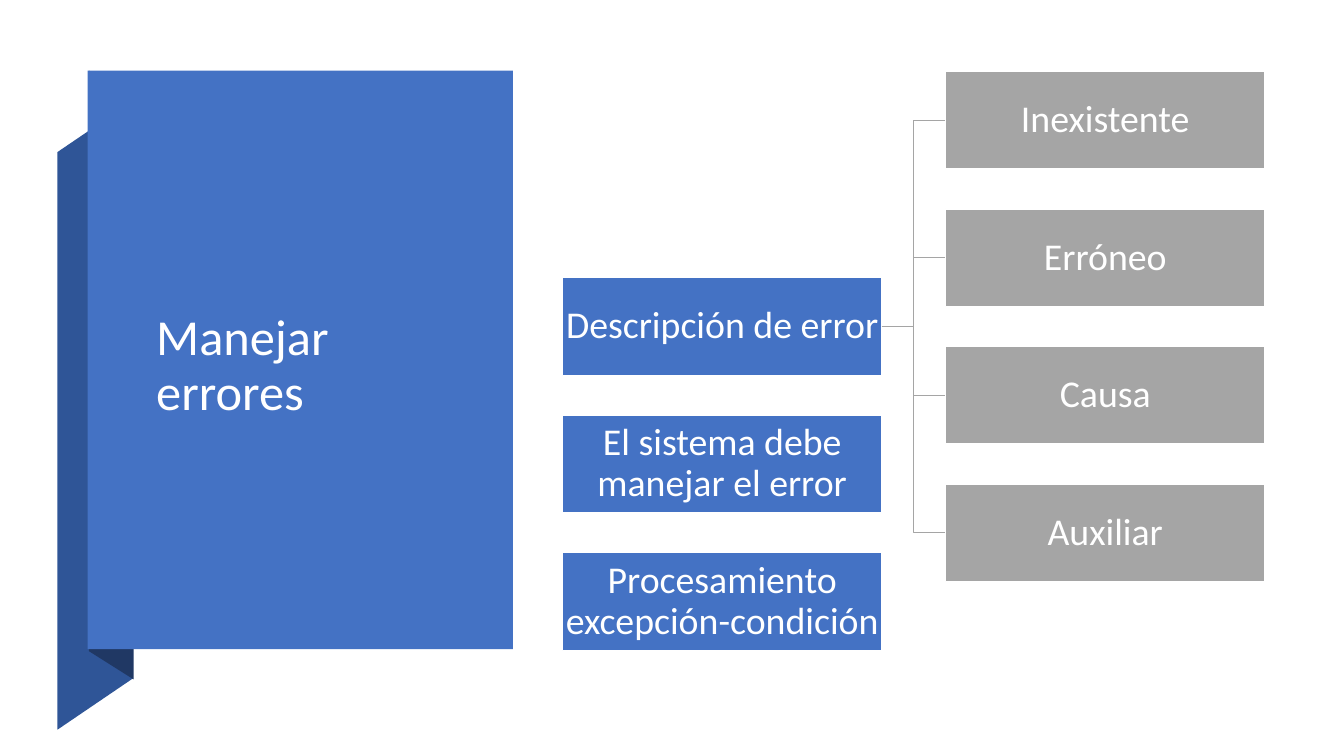
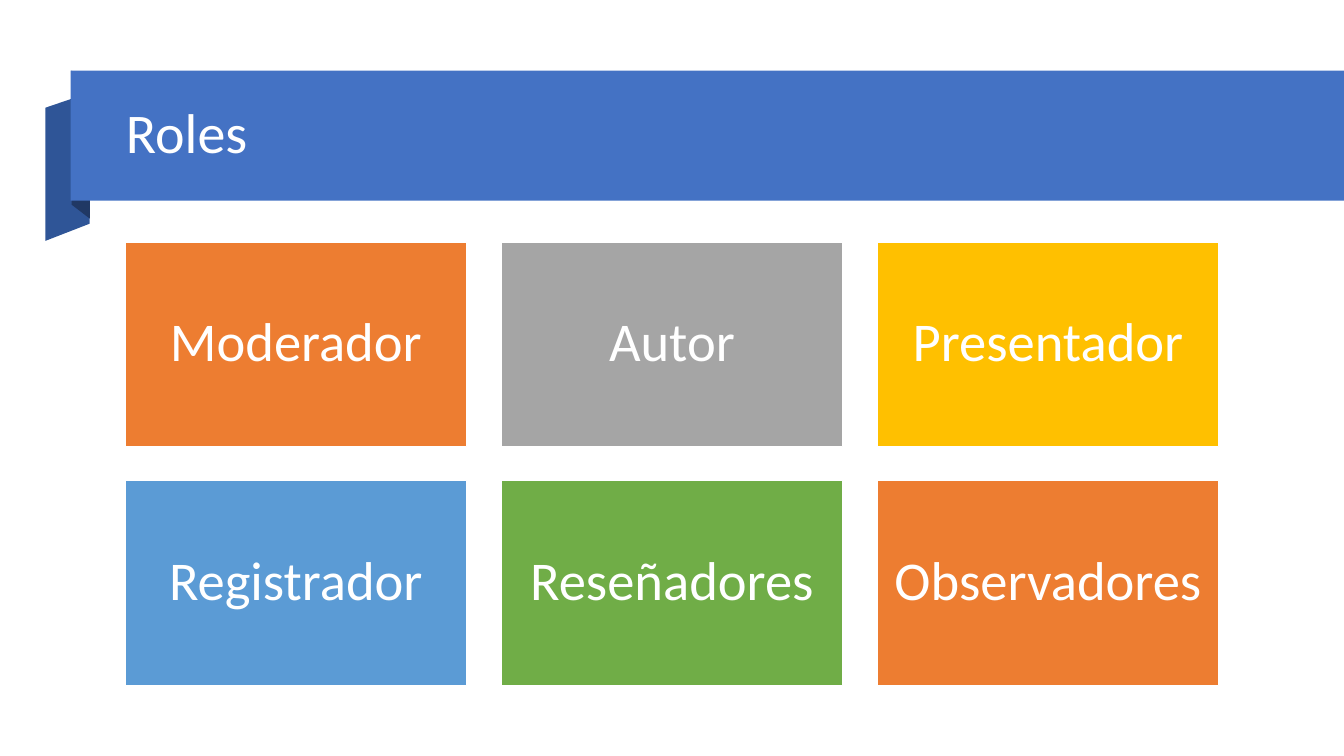
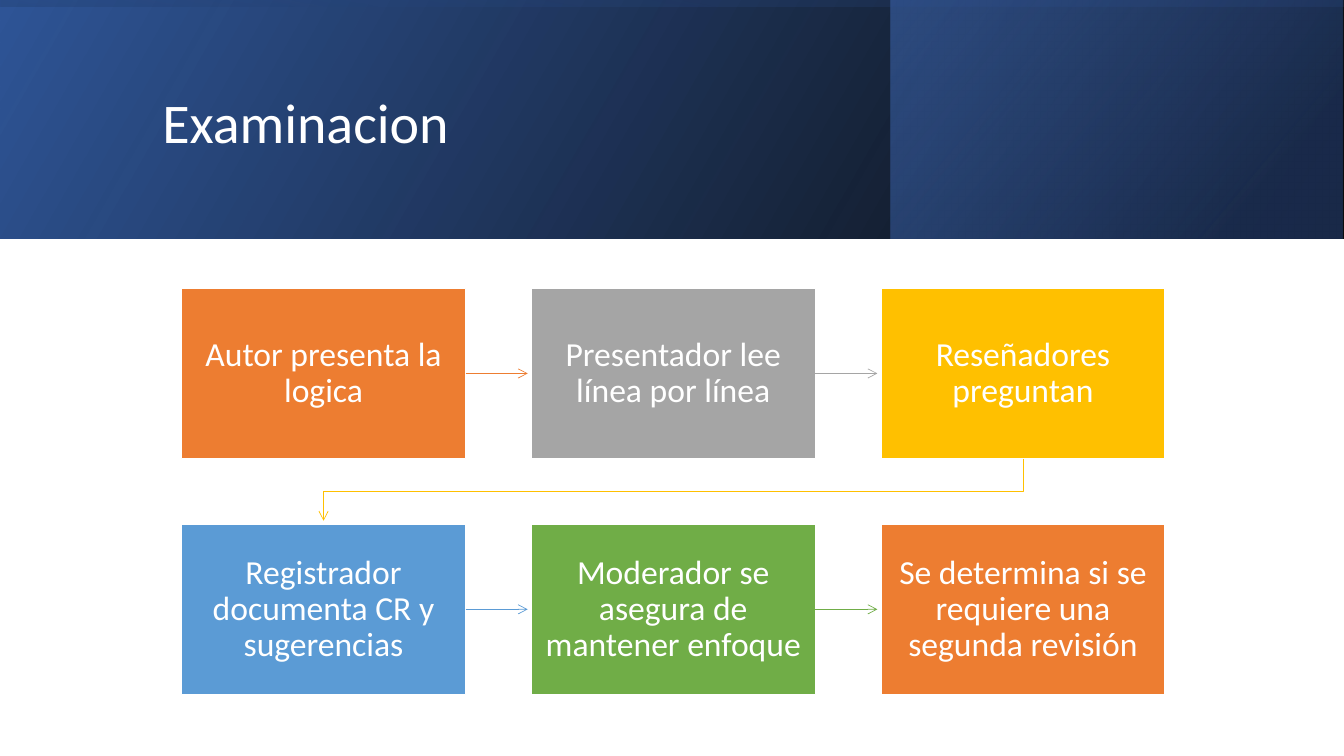
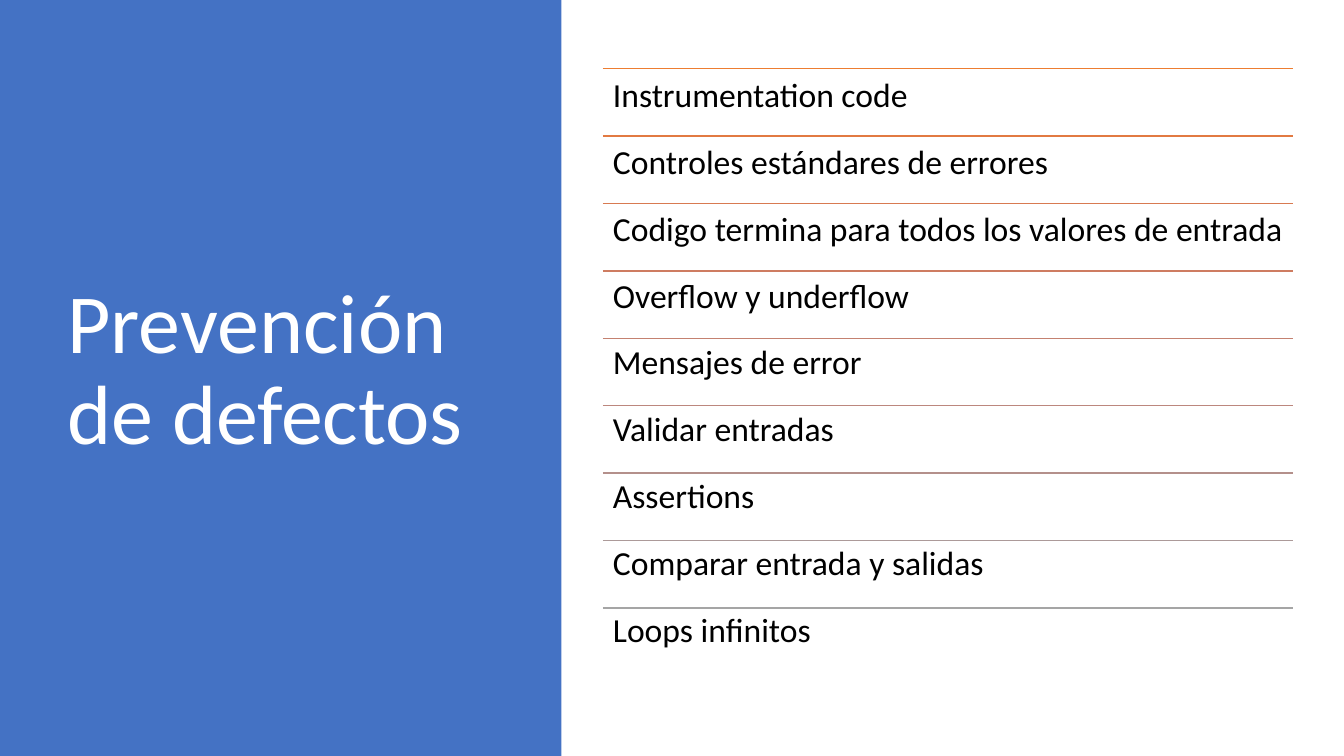
from pptx import Presentation
from pptx.dml.color import RGBColor as Rgb
from pptx.enum.shapes import MSO_CONNECTOR as Conn, MSO_SHAPE as Kind
from pptx.enum.text import MSO_ANCHOR as Anchor, MSO_AUTO_SIZE as Auto, PP_ALIGN as Align
from pptx.oxml import parse_xml
from pptx.oxml.ns import nsdecls, qn
from pptx.util import Pt

FONT = "Calibri"
HEX = {
    "blue": "4472C4", "deep": "2F5597", "navy": "203864", "black": "000000",
    "white": "FFFFFF", "orange": "ED7D31", "gray": "A5A5A5", "gold": "FFC000",
    "sky": "5B9BD5", "green": "70AD47",
}
CYCLE = ["orange", "gray", "gold", "sky", "green", "orange"]

ERRORS = {
    "title": "Manejar errores",
    "main": ["Descripción de error", "El sistema debe manejar el error",
             "Procesamiento excepción-condición"],
    "kinds": ["Inexistente", "Erróneo", "Causa", "Auxiliar"],
    "back": [(41, 521.3), (95, 484.6), (95, 72), (41, 108.7)],
    "fold": [(63.4, 465.1), (95.4, 485.3), (95.4, 71.3), (63.4, 50.4)],
    "band": (62.6, 50.4, 303.8, 413.3),
}
ROLES = {
    "title": "Roles",
    "cells": ["Moderador", "Autor", "Presentador",
              "Registrador", "Reseñadores", "Observadores"],
    "back": [(64.1, 159.8), (32.4, 172.1), (32.4, 77), (64.1, 66.2)],
    "fold": [(64.1, 156.2), (51.1, 146.2), (51.1, 50.4), (64.1, 61.2)],
    "band": (50.4, 50.4, 909.6, 92.9),
}
EXAM = {
    "title": "Examinacion",
    "steps": ["Autor presenta la logica", "Presentador lee línea por línea",
              "Reseñadores preguntan", "Registrador documenta CR y sugerencias",
              "Moderador se asegura de mantener enfoque",
              "Se determina si se requiere una segunda revisión"],
    "bands": [
        ((0, 0, 960, 170.6), 0, 330, [(0, "black", 96), (100, "deep", 100)]),
        ((636.5, 0, 322.6, 170.6), 0, 320, [(19, "navy", 68), (100, "blue", 48)]),
        ((394.7, -394.7, 170.6, 960), 270, 350, [(23, "deep", 16), (99, "black", 45)]),
    ],
}
PREVENT = {
    "title": "Prevención de defectos",
    "rows": [
        ("Instrumentation code", "ED7D31"),
        ("Controles estándares de errores", "E27A42"),
        ("Codigo termina para todos los valores de entrada", "D87A51"),
        ("Overflow y underflow", "CE7C61"),
        ("Mensajes de error", "C48170"),
        ("Validar entradas", "BC877E"),
        ("Assertions", "B4908B"),
        ("Comparar entrada y salidas", "AC9A99"),
        ("Loops infinitos", "A5A5A5"),
    ],
}


def tint(name):
    return Rgb.from_string(HEX.get(name, name))


def apply(obj, **vals):
    for key, val in vals.items():
        setattr(obj, key, val)


def place(shape, box):
    apply(shape, **dict(zip(("left", "top", "width", "height"), map(Pt, box))))


def paint(shape, fill, line=None):
    shape.shadow.inherit = False
    if fill:
        shape.fill.solid()
        shape.fill.fore_color.rgb = tint(fill)
    else:
        shape.fill.background()
    if line:
        stroke(shape, line, 1)
    else:
        shape.line.fill.background()


def stroke(shape, color, width):
    shape.line.color.rgb = tint(color)
    shape.line.width = Pt(width)


def write(shape, texts, size, color="white", align=Align.LEFT,
          anchor=Anchor.MIDDLE, pad=(7.2, 3.6), after=0):
    frame = shape.text_frame
    frame.text = "\n".join(texts)
    side, edge = map(Pt, pad)
    apply(frame, word_wrap=True, auto_size=Auto.NONE, vertical_anchor=anchor,
          margin_left=side, margin_right=side, margin_top=edge, margin_bottom=edge)
    for para in frame.paragraphs:
        apply(para, alignment=align, line_spacing=0.9,
              space_before=Pt(0), space_after=Pt(after))
        font = para.runs[0].font
        apply(font, name=FONT, size=Pt(size))
        font.color.rgb = tint(color)


def block(slide, box, fill, line=None):
    shape = slide.shapes.add_shape(Kind.RECTANGLE, *map(Pt, box))
    paint(shape, fill, line)
    return shape


def card(slide, box, fill, text, size, pad):
    shape = block(slide, box, fill, "white")
    write(shape, [text], size, align=Align.CENTER, pad=pad)
    return shape


def grid(slide, texts, start, step, size, font, pad):
    cards = []
    for num, (text, fill) in enumerate(zip(texts, CYCLE)):
        row, col = divmod(num, 3)
        box = (start[0] + col * step[0], start[1] + row * step[1], *size)
        cards.append(card(slide, box, fill, text, font, pad))
    return cards


def outline(slide, dots, close=True):
    pts = [(Pt(x), Pt(y)) for x, y in dots]
    pen = slide.shapes.build_freeform(*pts[0])
    pen.add_line_segments(pts[1:], close=close)
    return pen.convert_to_shape()


def link(slide, kind, start, end, color, width):
    wire = slide.shapes.add_connector(kind, *map(Pt, (*start, *end)))
    stroke(wire, color, width)
    wire.element.spPr.append(parse_xml(f"<a:effectLst {nsdecls('a')}/>"))
    return wire


def arrow(shape):
    shape.line._get_or_add_ln().append(
        parse_xml(f'<a:tailEnd type="arrow" {nsdecls("a")}/>'))


def fade(shape, angle, stops):
    marks = "".join(
        f'<a:gs pos="{pos * 1000}"><a:srgbClr val="{HEX[color]}">'
        f'<a:alpha val="{alpha * 1000}"/></a:srgbClr></a:gs>'
        for pos, color, alpha in stops)
    props = shape.element.spPr
    props.find(qn("a:xfrm")).set("flipH", "1")
    props.replace(props.find(qn("a:solidFill")), parse_xml(
        f'<a:gradFill {nsdecls("a")}><a:gsLst>{marks}</a:gsLst>'
        f'<a:lin ang="{angle * 60000}" scaled="0"/></a:gradFill>'))


def head(slide, text, box, size):
    title = slide.shapes.title
    place(title, box)
    write(title, [text], size)
    slide.shapes.element.append(title.element)


def ribbon(slide, data):
    for part, fill in (("back", "deep"), ("fold", "navy")):
        paint(outline(slide, data[part]), fill)
    block(slide, data["band"], "blue")


def errors(slide):
    ribbon(slide, ERRORS)
    head(slide, ERRORS["title"], (104.4, 120.2, 216.7, 283.7), 36)
    top, step, wide, high = 51.1, 98.2, 228.2, 69.8

    def column(texts, left, skip, fill):
        return [card(slide, (left, top + (num + skip) * step, wide, high),
                     fill, text, 27, (1.4, 1.4)) for num, text in enumerate(texts)]

    main = column(ERRORS["main"], 401.8, 1.5, "blue")
    for kind in column(ERRORS["kinds"], 675.4, 0, "gray"):
        wire = link(slide, Conn.ELBOW, (0, 0), (9, 9), "gray", 1)
        wire.begin_connect(main[0], 3)
        wire.end_connect(kind, 1)


def roles(slide):
    ribbon(slide, ROLES)
    head(slide, ROLES["title"], (82.8, 61.9, 811.4, 69.1), 40)
    grid(slide, ROLES["cells"], (89.3, 172.8), (268.6, 170.6),
         (244.1, 146.2), 39, (11.5, 11.5))


def exam(slide):
    for box, turn, angle, stops in EXAM["bands"]:
        band = block(slide, box, "deep")
        band.rotation = turn
        fade(band, angle, stops)
    head(slide, EXAM["title"], (108.7, 27.4, 765.4, 123.8), 40)
    left, top, across, down, wide, high = 129.6, 205.9, 249.8, 168.5, 203, 121.7
    gap = 2.5
    cards = grid(slide, EXAM["steps"], (left, top), (across, down),
                 (wide, high), 24, (10, 10.8))
    for num in (0, 1, 3, 4):
        row, col = divmod(num, 3)
        y = top + row * down + high / 2
        x = left + col * across
        wire = link(slide, Conn.STRAIGHT, (x + wide, y),
                    (x + across - gap, y), CYCLE[num], 0.5)
        wire.begin_connect(cards[num], 3)
        arrow(wire)
    near, far = left + wide / 2, left + 2 * across + wide / 2
    low, mid = top + high, top + (high + down) / 2
    turn = outline(slide, [(far, low), (far, mid), (near, mid),
                           (near, top + down - gap)], close=False)
    paint(turn, None)
    stroke(turn, "gold", 0.5)
    arrow(turn)


def prevent(slide):
    block(slide, (0, 0, 401, 540), "blue")
    head(slide, PREVENT["title"], (41, 49, 299.5, 433.4), 60)
    left, top, wide, step = 430.6, 49, 493.2, 48.15
    body = slide.placeholders[1]
    place(body, (left, top, wide, step * len(PREVENT["rows"])))
    write(body, [text for text, _ in PREVENT["rows"]], 24, "black",
          anchor=Anchor.TOP, pad=(7.2, 7.2), after=21.8)
    for para in body.text_frame.paragraphs:
        props = para._p.get_or_add_pPr()
        props.set("marL", "0")
        props.set("indent", "0")
        props.append(parse_xml(f"<a:buNone {nsdecls('a')}/>"))
    for num, (_, color) in enumerate(PREVENT["rows"]):
        y = top + num * step
        link(slide, Conn.STRAIGHT, (left, y), (left + wide, y), color, 1)


def main():
    deck = Presentation()
    apply(deck, slide_width=Pt(960), slide_height=Pt(540))
    for draw, layout in ((errors, 5), (roles, 5), (exam, 5), (prevent, 1)):
        draw(deck.slides.add_slide(deck.slide_layouts[layout]))
    deck.save("out.pptx")


if __name__ == "__main__":
    main()
